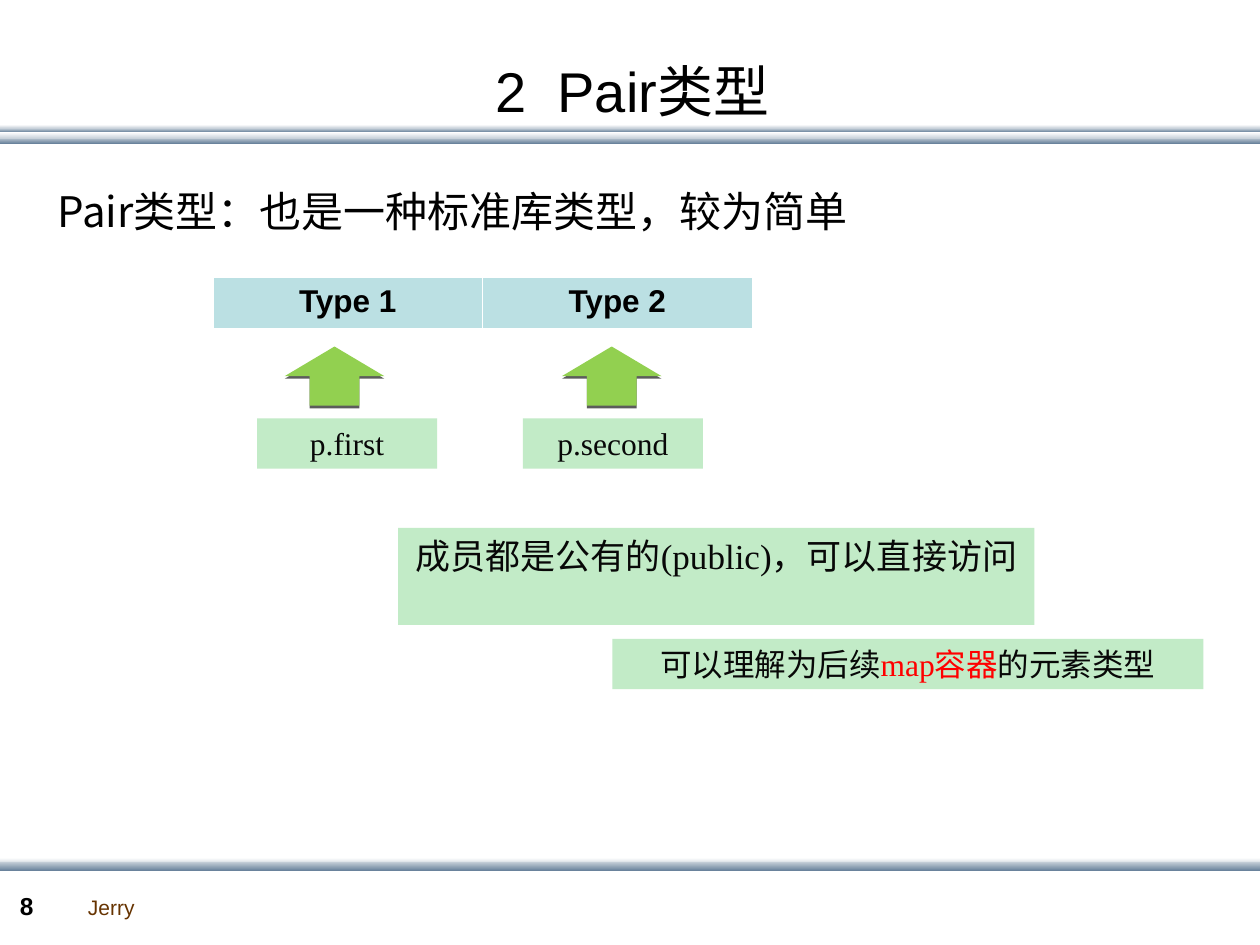
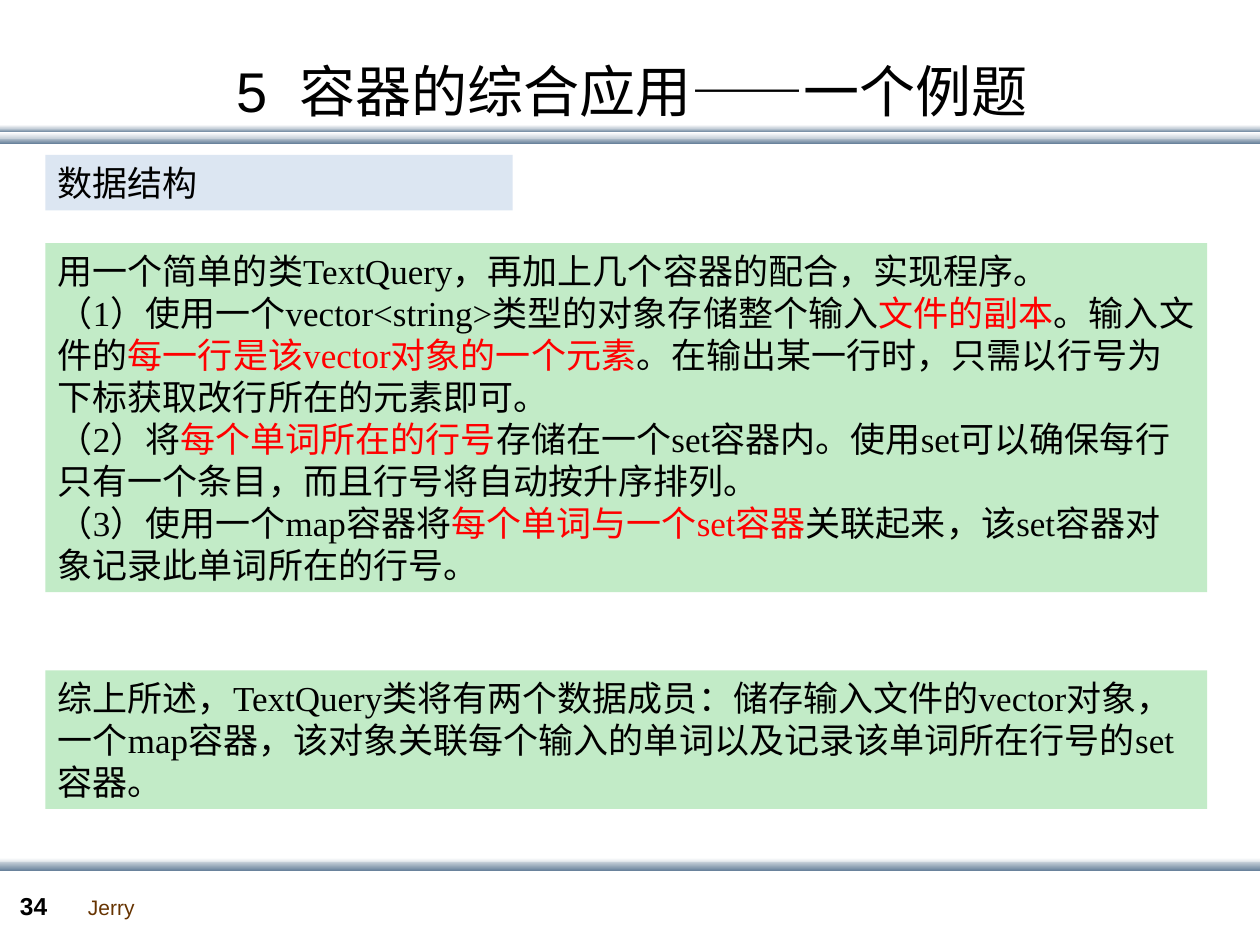
from dataclasses import dataclass

from lxml import etree
from pptx import Presentation
from pptx.dml.color import RGBColor
from pptx.enum.shapes import MSO_SHAPE
from pptx.enum.text import MSO_ANCHOR, MSO_AUTO_SIZE, PP_ALIGN
from pptx.oxml.ns import qn
from pptx.util import Inches, Pt

RECT, ARROW = MSO_SHAPE.RECTANGLE, MSO_SHAPE.RIGHT_ARROW
LEFT, CENTER = PP_ALIGN.LEFT, PP_ALIGN.CENTER
TOP, MIDDLE = MSO_ANCHOR.TOP, MSO_ANCHOR.MIDDLE
GROW, FIXED = MSO_AUTO_SIZE.SHAPE_TO_FIT_TEXT, MSO_AUTO_SIZE.NONE


@dataclass(frozen=True)
class Theme:
    sans: str = "Arial"
    serif: str = "Times New Roman"
    cjk: str = "Noto Sans CJK SC"
    black: str = "000000"
    ink: str = "080808"
    red: str = "FF0000"
    brown: str = "663300"
    white: str = "FFFFFF"
    mist: str = "C8D1DA"
    steel: str = "6A839C"
    green: str = "C2EBC7"
    blue: str = "DCE6F2"
    teal: str = "BBE0E3"
    lime: str = "92D050"
    title: int = 32
    lead: int = 24
    body: int = 20
    label: int = 18
    number: int = 14
    footer: int = 12


T = Theme()


def rgb(value):
    return RGBColor.from_string(value)


def red(text):
    """A highlighted piece of a paragraph."""
    return text, T.red


class Deck:
    def __init__(self):
        self.prs = Presentation()
        self.prs.slide_width, self.prs.slide_height = Inches(10), Inches(7.5)
        self.s = None

    def slide(self, title, number):
        self.s = self.prs.slides.add_slide(self.prs.slide_layouts[6])
        # Double rule under the title, single rule above the footer
        self.band(1.09, 0.05, T.mist, T.steel)
        self.band(1.02, 0.03, T.mist, T.steel)
        self.band(1.05, 0.05, T.white, T.mist)
        self.band(0.99, 0.03, T.white, T.mist)
        self.band(6.81, 0.05, T.white, T.mist)
        self.band(6.84, 0.07, T.mist, T.steel)
        # Footer and title
        self.text(0.6, 7.05, 0.57, 0.3, ["Jerry"], T.footer, T.sans, T.brown,
                  wrap=False)
        self.text(0.06, 7.02, 0.55, 0.34, [str(number)], T.number, T.sans,
                  bold=True)
        self.text(0.22, 0.44, 9.6, 0.55, [title], T.title, T.sans,
                  align=CENTER, anchor=MIDDLE, grow=False)

    def shape(self, kind, x, y, w, h, color=None):
        sp = self.s.shapes.add_shape(kind, Inches(x), Inches(y), Inches(w), Inches(h))
        sp.shadow.inherit = False
        sp.line.fill.background()
        if color:
            sp.fill.solid()
            sp.fill.fore_color.rgb = rgb(color)
        return sp

    def band(self, y, h, start, end):
        sp = self.shape(RECT, 0, y, 10.01, h)
        sp.fill.gradient()
        sp.fill.gradient_angle = 270
        for stop, color in zip(sp.fill.gradient_stops, (start, end)):
            stop.color.rgb = rgb(color)

    def runs(self, p, pieces, size, font, color, bold=False):
        """Fill a paragraph from a string or a list of strings and (text, colour)."""
        for piece in [pieces] if isinstance(pieces, str) else pieces:
            text, tint = (piece, color) if isinstance(piece, str) else piece
            r = p.add_run()
            r.text = text
            r.font.size, r.font.name, r.font.bold = Pt(size), font, bold
            r.font.color.rgb = rgb(tint)
            ea = etree.Element(qn("a:ea"), typeface=T.cjk)
            r._r.get_or_add_rPr().find(qn("a:latin")).addnext(ea)

    def fill_text(self, sp, paragraphs, size, font, color, bold=False, align=LEFT,
                  anchor=TOP, wrap=True, grow=True, spacing=None):
        tf = sp.text_frame
        tf.word_wrap, tf.vertical_anchor = wrap, anchor
        tf.auto_size = GROW if grow else FIXED
        for i, pieces in enumerate(paragraphs):
            p = tf.add_paragraph() if i else tf.paragraphs[0]
            p.alignment = align
            if spacing:
                p.line_spacing = spacing
            self.runs(p, pieces, size, font, color, bold)

    def text(self, x, y, w, h, paragraphs, size, font, color=T.black, **style):
        sp = self.s.shapes.add_textbox(Inches(x), Inches(y), Inches(w), Inches(h))
        self.fill_text(sp, paragraphs, size, font, color, **style)

    def box(self, x, y, w, h, paragraphs, size=T.body, fill=T.green,
            color=T.black, align=LEFT):
        sp = self.shape(RECT, x, y, w, h, fill)
        self.fill_text(sp, paragraphs, size, T.serif, color, align=align)

    def up_arrow(self, x, y, w, h):
        sp = self.shape(ARROW, x, y, w, h, T.lime)
        sp.rotation = 270
        effects = sp._element.spPr.find(qn("a:effectLst"))
        shadow = etree.SubElement(effects, qn("a:outerShdw"), blurRad="0",
                                  dist=str(Pt(1.5)), dir="5400000", rotWithShape="0")
        tint = etree.SubElement(shadow, qn("a:srgbClr"), val=T.black)
        etree.SubElement(tint, qn("a:alpha"), val="63000")

    def type_row(self, x, y, w, h, labels):
        frame = self.s.shapes.add_table(1, len(labels), Inches(x), Inches(y),
                                        Inches(w), Inches(h))
        table = frame.table
        table.first_row = table.horz_banding = False
        for cell, label in zip(table.iter_cells(), labels):
            cell.fill.solid()
            cell.fill.fore_color.rgb = rgb(T.teal)
            cell.margin_left = cell.margin_right = Inches(0.1)
            p = cell.text_frame.paragraphs[0]
            p.alignment = CENTER
            self.runs(p, label, T.label, T.sans, T.black, bold=True)
            self.borders(cell)

    def borders(self, cell):
        props = cell._tc.get_or_add_tcPr()
        sides = (("L", 0.45), ("R", 0.45), ("T", 0.45), ("B", 1.47))
        for i, (side, width) in enumerate(sides):
            ln = etree.Element(qn("a:ln" + side), w=str(Pt(width)))
            fill = etree.SubElement(ln, qn("a:solidFill"))
            etree.SubElement(fill, qn("a:srgbClr"), val=T.white)
            props.insert(i, ln)


def pair_slide(deck):
    deck.slide("2  Pair类型", 8)
    deck.text(0.36, 1.22, 8.46, 0.7, ["Pair类型：也是一种标准库类型，较为简单"],
              T.lead, T.cjk, spacing=1.5)
    # Remarks
    deck.box(4.86, 5.07, 4.69, 0.4,
             [["可以理解为后续", red("map容器"), "的元素类型"]],
             T.label, color=T.ink, align=CENTER)
    deck.box(3.16, 4.19, 5.05, 0.77, ["成员都是公有的(public)，可以直接访问"],
             color=T.ink, align=CENTER)
    # The two halves of a pair and their members
    deck.type_row(1.69, 2.2, 4.28, 0.41, ["Type 1", "Type 2"])
    members = ((2.42, 2.04, "p.first"), (4.62, 4.15, "p.second"))
    for arrow_x, label_x, member in members:
        deck.up_arrow(arrow_x, 2.59, 0.47, 0.79)
        deck.box(label_x, 3.32, 1.43, 0.4, [member], T.label,
                 color=T.ink, align=CENTER)


def example_slide(deck):
    deck.slide("5  容器的综合应用——一个例题", 34)
    deck.box(0.36, 1.23, 3.71, 0.44, ["数据结构"], fill=T.blue)
    # Design steps
    deck.box(0.36, 1.93, 9.22, 2.77, [
        "用一个简单的类TextQuery，再加上几个容器的配合，实现程序。",
        ["（1）使用一个vector<string>类型的对象存储整个输入", red("文件的副本"),
         "。输入文件的", red("每一行是该vector对象的一个元素"),
         "。在输出某一行时，只需以行号为下标获取改行所在的元素即可。"],
        ["（2）将", red("每个单词所在的行号"),
         "存储在一个set容器内。使用set可以确保每行只有一个条目，而且行号将自动按升序排列。"],
        ["（3）使用一个map容器将", red("每个单词与一个set容器"),
         "关联起来，该set容器对象记录此单词所在的行号。"],
    ])
    # Summary
    deck.box(0.36, 5.32, 9.22, 1.1, [
        "综上所述，TextQuery类将有两个数据成员：储存输入文件的vector对象，"
        "一个map容器，该对象关联每个输入的单词以及记录该单词所在行号的set容器。"])


def main():
    deck = Deck()
    pair_slide(deck)
    example_slide(deck)
    deck.prs.save("out.pptx")


if __name__ == "__main__":
    main()
